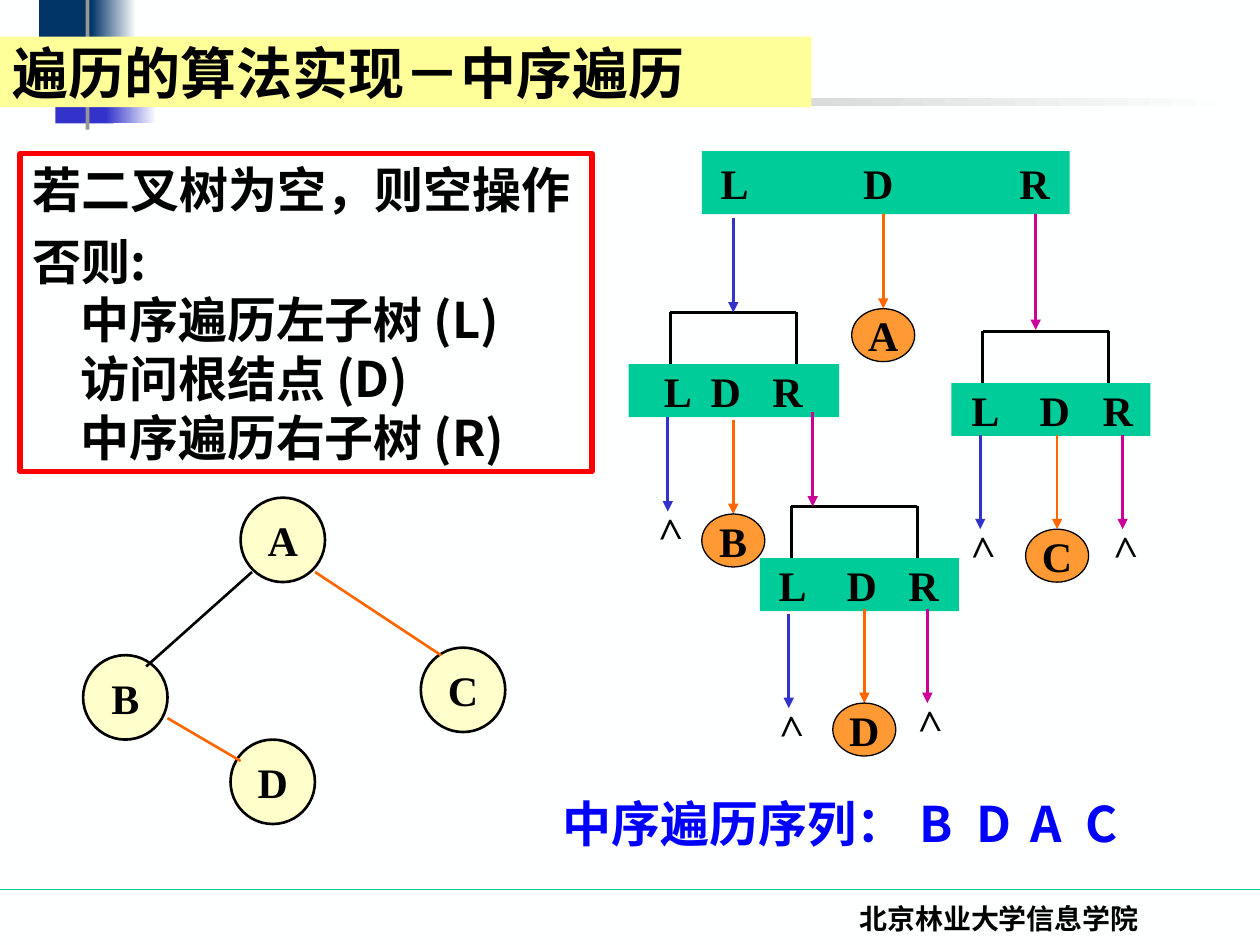
import pptx
import pptx.util
import pptx.dml.color
import pptx.enum.shapes
import pptx.enum.text
import pptx.oxml
from pptx.oxml.ns import qn

Inches, Pt = pptx.util.Inches, pptx.util.Pt
SHAPE = pptx.enum.shapes.MSO_SHAPE
ALIGN = pptx.enum.text.PP_ALIGN
ANCHOR = pptx.enum.text.MSO_ANCHOR

COLORS = {
    "page": "FEFFFF", "black": "000000", "navy": "003366", "indigo": "3333CC",
    "gray": "969696", "banner": "FFFF99", "frame": "FF0000", "bar": "00CC99",
    "tree": "FFFFCC", "visit": "FF9933", "answer": "0000FF",
    "L": "3333CC", "D": "FF6600", "R": "CC0099",
}
CJK, LATIN = "Noto Sans CJK SC", "Times New Roman"

TITLE = "遍历的算法实现－中序遍历"
FOOTER = "北京林业大学信息学院"
RULES = [
    ["若二叉树为空，则空操作"],
    ["否则:", "中序遍历左子树 (L)", "访问根结点 (D)", "中序遍历右子树 (R)"],
]
ANSWER, ANSWER_TABS = "中序遍历序列：\tB\tD\tA\tC", (2.83, 3.28, 3.71, 4.15)

# Master decoration: box, start colour, end colour of the fade
DECORATION = [
    ((0.31, 0, 0.48, 0.52), "navy", None),
    ((0.72, 0, 0.36, 0.52), "navy", "page"),
    ((0.44, 0.46, 0.46, 0.52), "indigo", None),
    ((0.84, 0.46, 0.4, 0.52), "indigo", "page"),
    ((0.68, 0, 0.03, 1.03), "gray", None),
    ((0.33, 0.78, 9.51, 0.06), "gray", "page"),
]

# Binary tree: node positions and edges
NODE_SIZE = 0.67
NODES = {"A": (1.91, 3.95), "D": (1.83, 5.87), "B": (0.66, 5.2), "C": (3.34, 5.14)}
EDGES = [
    ((2, 4.54), (1.16, 5.29), "black"),
    ((2.5, 4.54), (3.5, 5.2), "D"),
    ((1.33, 5.7), (1.91, 6.04), "D"),
]

# Recursion steps: bar box, centres of L, D and R, left end of the bracket
STEPS = [
    ((5.57, 1.2, 2.92, 0.5), (5.83, 6.97, 8.21), None),
    ((4.99, 2.89, 1.67, 0.42), (5.38, 5.76, 6.25), 5.32),
    ((6.03, 4.43, 1.58, 0.42), (6.29, 6.84, 7.33), 6.28),
    ((7.55, 3.04, 1.58, 0.42), (7.82, 8.37, 8.87), 7.8),
]
BRACKET_WIDTH, BRACKET_HEIGHT = 1, 0.41

# Calls: branch, x, top, length, what is reached (">" is an empty subtree)
EMPTY = ">"
CALLS = [
    ("L", 5.82, 1.73, 0.75, None), ("D", 7.01, 1.7, 0.75, "A"), ("R", 8.22, 1.7, 0.92, None),
    ("L", 5.3, 3.31, 0.75, EMPTY), ("D", 5.82, 3.33, 0.75, "B"), ("R", 6.45, 3.27, 0.75, None),
    ("L", 6.26, 4.87, 0.75, EMPTY), ("D", 6.86, 4.83, 0.75, "D"), ("R", 7.36, 4.83, 0.75, EMPTY),
    ("L", 7.78, 3.45, 0.75, EMPTY), ("D", 8.39, 3.45, 0.75, "C"), ("R", 8.91, 3.45, 0.75, EMPTY),
]
VISIT_WIDTH, VISIT_HEIGHT = 0.5, 0.42


def rgb(name):
    return pptx.dml.color.RGBColor.from_string(COLORS[name])


def add_shape(slide, kind, box, fill=None, line=None, width=1.5, fade=None):
    shape = slide.shapes.add_shape(kind, *map(Inches, box))
    shape.shadow.inherit = False
    if fade:
        shape.fill.gradient()
        shape.fill.gradient_angle = 0
        for stop, name in zip(shape.fill.gradient_stops, (fill, fade)):
            stop.color.rgb = rgb(name)
    elif fill:
        shape.fill.solid()
        shape.fill.fore_color.rgb = rgb(fill)
    else:
        shape.fill.background()
    if line:
        shape.line.color.rgb = rgb(line)
        shape.line.width = Pt(width)
    else:
        shape.line.fill.background()
    return shape


def add_line(slide, start, end, color, width=1.5, arrow=False):
    line = slide.shapes.add_connector(
        pptx.enum.shapes.MSO_CONNECTOR.STRAIGHT, *map(Inches, start + end))
    line.line.color.rgb = rgb(color)
    line.line.width = Pt(width)
    if arrow:
        head = pptx.oxml.parse_xml(
            '<a:tailEnd xmlns:a="http://schemas.openxmlformats.org/drawingml/2006/main" type="triangle"/>')
        line.line._get_or_add_ln().append(head)
    properties = line._element.spPr
    properties.append(properties.makeelement(qn("a:effectLst"), {}))


def add_tabs(paragraph, positions, align):
    properties = paragraph._p.get_or_add_pPr()
    tabs = properties.makeelement(qn("a:tabLst"), {})
    for position in positions:
        stop = tabs.makeelement(qn("a:tab"), {"pos": str(Inches(position)), "algn": align})
        tabs.append(stop)
    properties.append(tabs)


def add_run(paragraph, text, size, font=LATIN, color="black"):
    run = paragraph.add_run()
    run.text = text
    run.font.size, run.font.bold, run.font.name = Pt(size), True, font
    run.font.color.rgb = rgb(color)
    properties = run._r.get_or_add_rPr()
    properties.append(properties.makeelement(qn("a:ea"), {"typeface": CJK}))


def write(shape, text, size, font=LATIN, color="black", align=ALIGN.LEFT,
          anchor=ANCHOR.TOP, wrap=True):
    frame = shape.text_frame
    frame.word_wrap, frame.vertical_anchor = wrap, anchor
    paragraph = frame.paragraphs[0]
    paragraph.alignment = align
    add_run(paragraph, text, size, font, color)


def add_node(slide, box, letter, fill, width):
    node = add_shape(slide, SHAPE.OVAL, box, fill, "black", width)
    write(node, letter, 24, align=ALIGN.CENTER, anchor=ANCHOR.MIDDLE, wrap=False)


def add_text(slide, box, *args, **options):
    text_box = slide.shapes.add_textbox(*map(Inches, box))
    write(text_box, *args, **options)
    return text_box


def add_step(slide, box, centres, bracket):
    left, top = box[:2]
    if bracket:
        right, upper = bracket + BRACKET_WIDTH, top - BRACKET_HEIGHT
        add_line(slide, (bracket, upper), (right, upper), "black")
        for x in (bracket, right):
            add_line(slide, (x, upper), (x, top), "black")
    bar = add_shape(slide, SHAPE.RECTANGLE, box, "bar")
    bar.text_frame.margin_left = bar.text_frame.margin_right = 0
    add_tabs(bar.text_frame.paragraphs[0], [x - left for x in centres], "ctr")
    write(bar, "\tL\tD\tR", 24, anchor=ANCHOR.MIDDLE)


def add_call(slide, branch, x, top, length, target):
    end = top + length
    add_line(slide, (x, top), (x, end), branch, arrow=True)
    if target == EMPTY:
        mark = add_text(slide, (x - 0.21, end - 0.12, 0.42, 0.5), EMPTY, 24)
        mark.rotation = 268.3
    elif target:
        box = (x - VISIT_WIDTH / 2, end, VISIT_WIDTH, VISIT_HEIGHT)
        add_node(slide, box, target, "visit", 0.75)


def main():
    presentation = pptx.Presentation()
    presentation.slide_width, presentation.slide_height = Inches(10), Inches(7.5)
    slide = presentation.slides.add_slide(presentation.slide_layouts[5])
    slide.background.fill.solid()
    slide.background.fill.fore_color.rgb = rgb("page")

    # Decoration and footer
    add_line(slide, (0, 7.06), (10, 7.06), "bar", 0.75)
    for box, fill, fade in DECORATION:
        add_shape(slide, SHAPE.RECTANGLE, box, fill, fade=fade)
    add_text(slide, (5.86, 7.11, 4.14, 0.5), FOOTER, 16, align=ALIGN.CENTER)

    # Title, in front of the decoration
    title = slide.shapes.title
    title.left, title.top, title.width, title.height = map(Inches, (0, 0.29, 6.44, 0.56))
    title.fill.solid()
    title.fill.fore_color.rgb = rgb("banner")
    title.text_frame.auto_size = pptx.enum.text.MSO_AUTO_SIZE.NONE
    write(title, TITLE, 32, CJK, anchor=ANCHOR.MIDDLE)
    slide.shapes._spTree.append(title._element)

    # Traversal rules
    frame = add_shape(slide, SHAPE.RECTANGLE, (0.16, 1.22, 4.54, 2.52), None, "frame", 3).text_frame
    frame.word_wrap, frame.vertical_anchor = True, ANCHOR.TOP
    for index, lines in enumerate(RULES):
        paragraph = frame.add_paragraph() if index else frame.paragraphs[0]
        paragraph.alignment = ALIGN.LEFT
        properties = paragraph._p.get_or_add_pPr()
        properties.set("marL", str(Inches(0.38)))
        properties.set("indent", str(-Inches(0.38)))
        paragraph.space_before = Pt(7 if index else 0)
        for number, line in enumerate(lines):
            if number:
                paragraph.add_line_break()
            add_run(paragraph, line, 28, CJK)

    # Binary tree
    for letter, position in NODES.items():
        add_node(slide, position + (NODE_SIZE, NODE_SIZE), letter, "tree", 1.5)
    for start, end, color in EDGES:
        add_line(slide, start, end, color)

    # Recursion diagram
    for step in STEPS:
        add_step(slide, *step)
    for call in CALLS:
        add_call(slide, *call)

    # Resulting sequence
    answer = add_text(slide, (4.37, 6.25, 5.27, 1.04), ANSWER, 28, CJK, "answer")
    add_tabs(answer.text_frame.paragraphs[0], ANSWER_TABS, "l")
    presentation.save("out.pptx")


if __name__ == "__main__":
    main()
